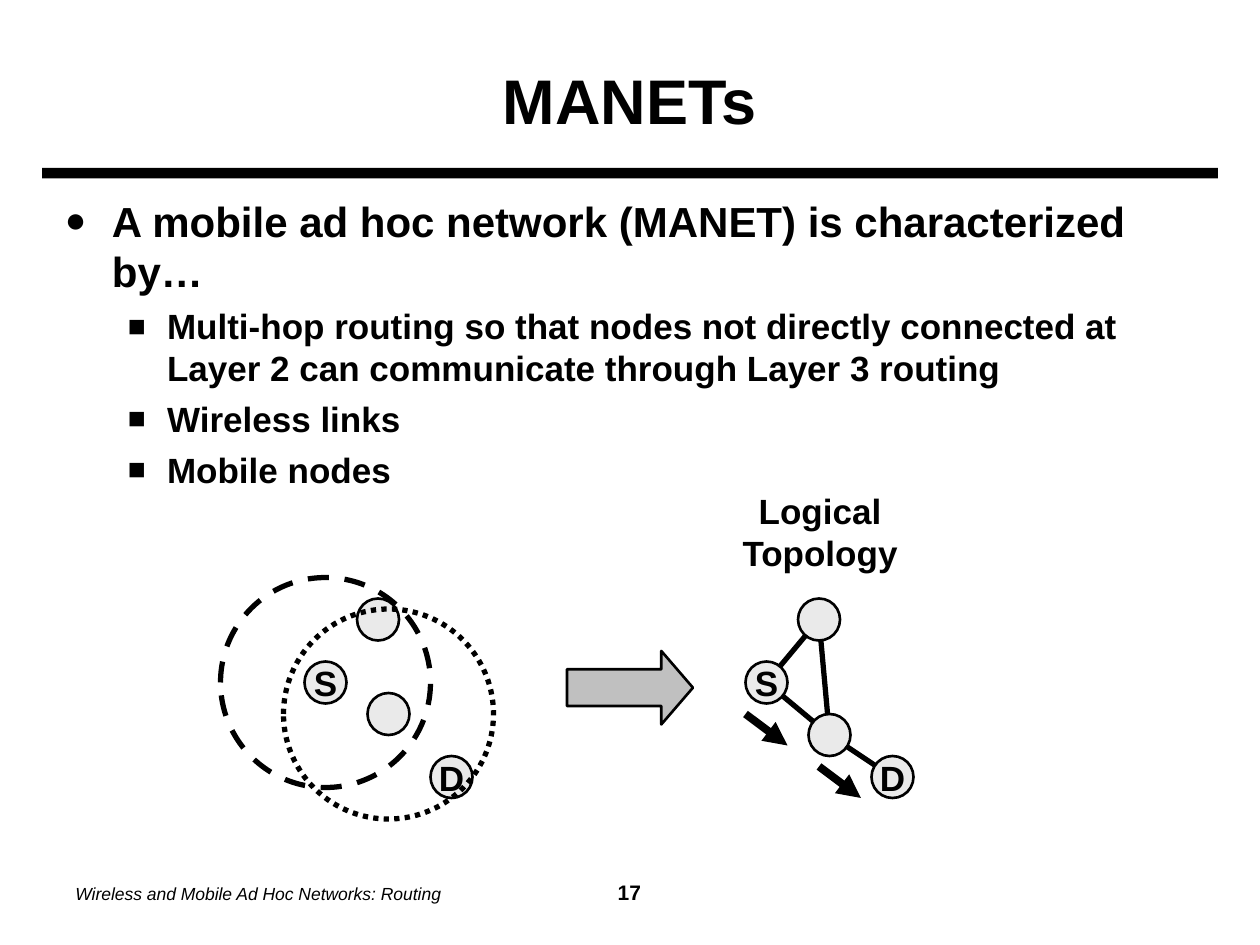
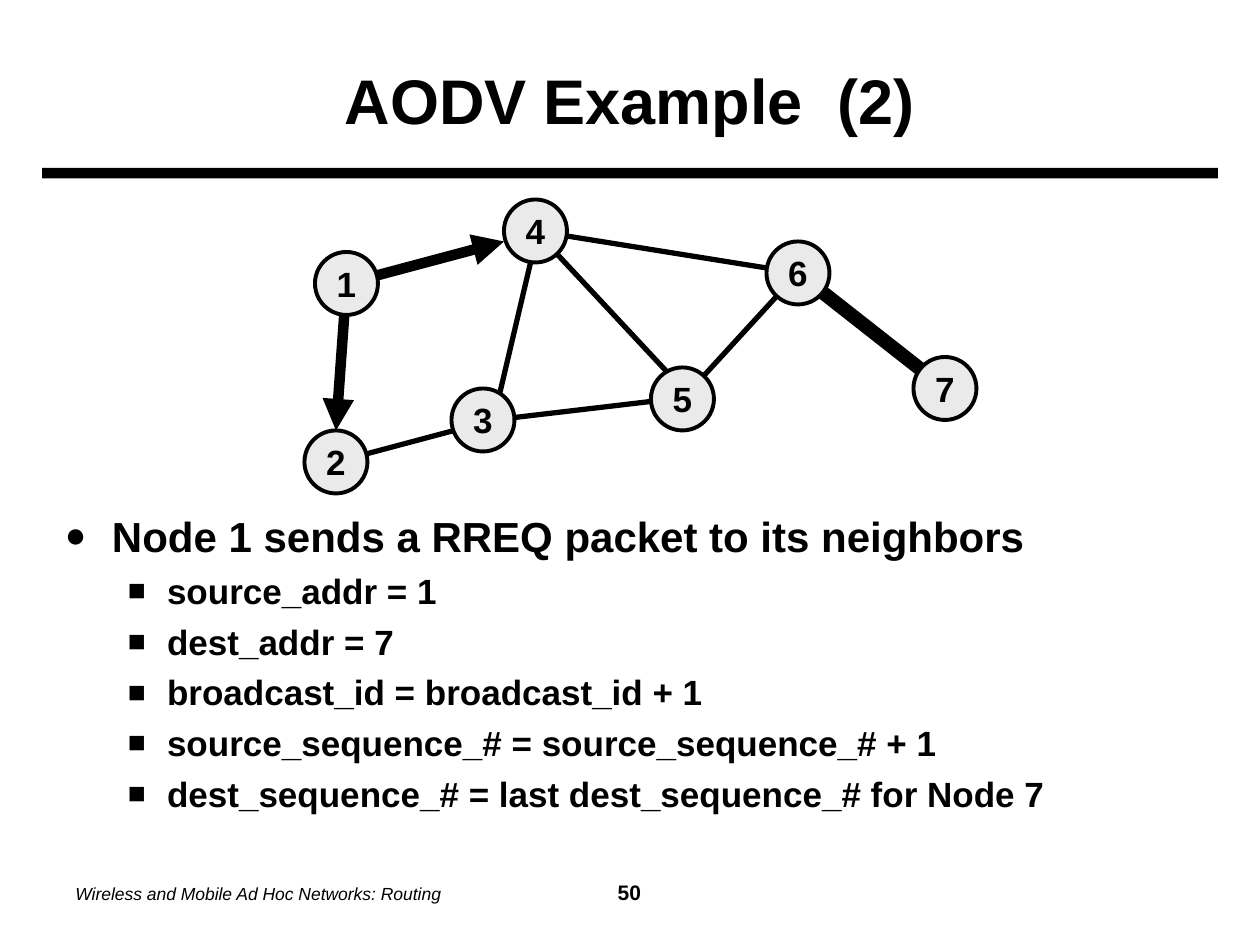
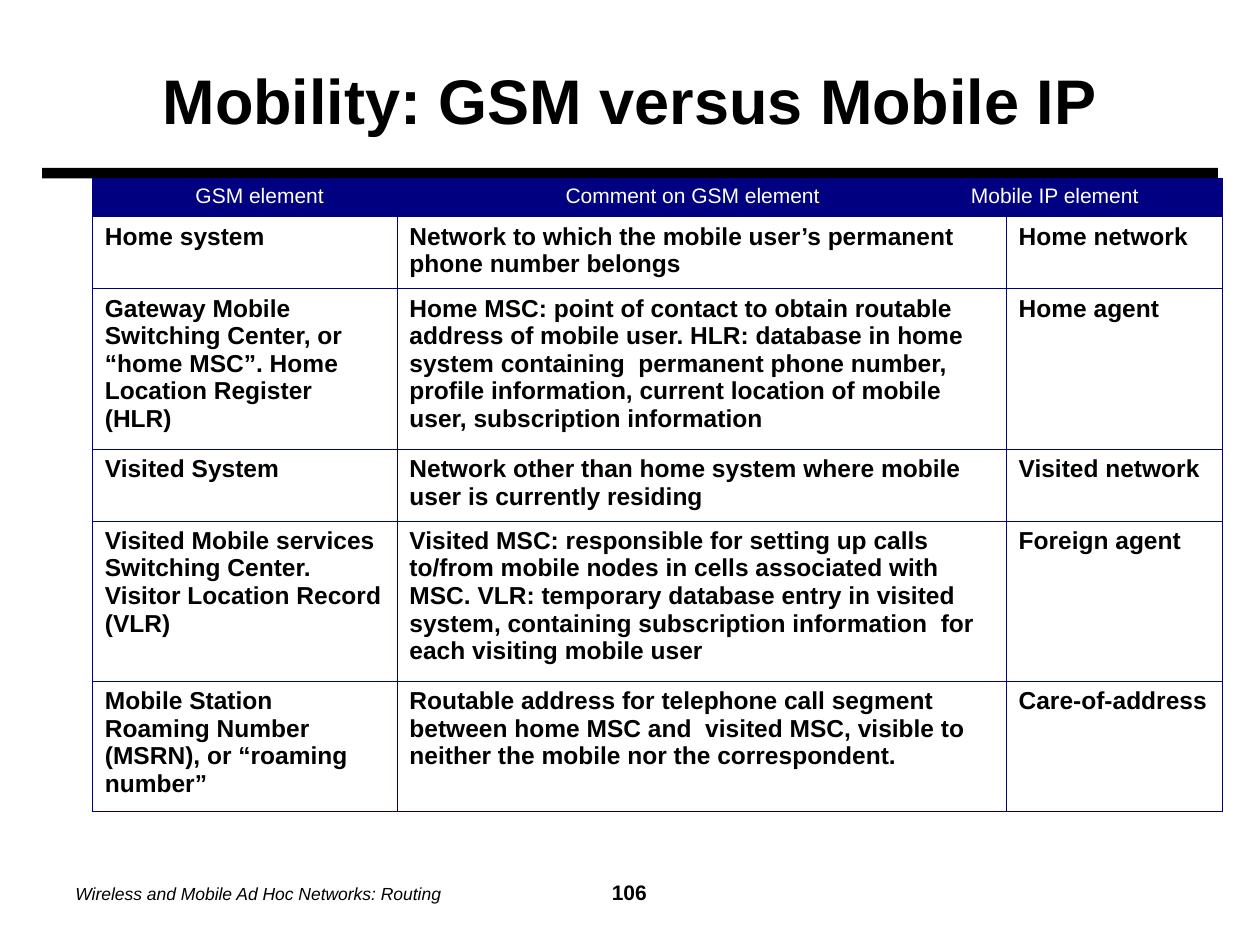
from pptx import Presentation
from pptx.dml.color import RGBColor
from pptx.enum.dml import MSO_LINE
from pptx.enum.shapes import MSO_CONNECTOR, MSO_SHAPE
from pptx.enum.text import MSO_ANCHOR, PP_ALIGN
from pptx.oxml.ns import qn
from pptx.util import Cm, Pt
from lxml.etree import SubElement, Element

FONT = "Arial"
BLACK = "000000"
WHITE = "FFFFFF"
NAVY = "000080"
PALE = "EAEAEA"
GRAY = "C0C0C0"
FOOT = "Wireless and Mobile Ad Hoc Networks: Routing"
LEVELS = [("●", 24, 6, 0.95, 0.95), ("■", 20, 5, 2.06, 0.79)]


def grid(*steps):
    return [Cm(n * 2.54 / 12) for n in steps]


def color(text):
    return RGBColor.from_string(text)


def add_run(para, text, size, bold=True, tint=BLACK, slant=False):
    run = para.add_run()
    run.text = text
    font = run.font
    font.name = FONT
    font.size = Pt(size)
    font.bold = bold
    font.italic = slant
    font.color.rgb = color(tint)


def add_box(slide, area, anchor=MSO_ANCHOR.TOP, wrap=True):
    frame = slide.shapes.add_textbox(*grid(*area)).text_frame
    frame.word_wrap = wrap
    frame.vertical_anchor = anchor
    return frame


def next_para(frame, index):
    return frame.add_paragraph() if index else frame.paragraphs[0]


def add_shape(slide, kind, area, fill=None, width=0, dash=None):
    shape = slide.shapes.add_shape(kind, *grid(*area))
    shape.shadow.inherit = False
    if fill:
        shape.fill.solid()
        shape.fill.fore_color.rgb = color(fill)
    else:
        shape.fill.background()
    if width:
        shape.line.color.rgb = color(BLACK)
        shape.line.width = Pt(width)
        if dash:
            shape.line.dash_style = dash
    else:
        shape.line.fill.background()
    return shape


def add_disc(slide, center, radius, fill=None, width=3, dash=None):
    x, y = center
    area = (x - radius, y - radius, 2 * radius, 2 * radius)
    return add_shape(slide, MSO_SHAPE.OVAL, area, fill, width, dash)


def add_node(slide, center, radius, width, label=""):
    frame = add_disc(slide, center, radius, PALE, width).text_frame
    frame.word_wrap = False
    frame.vertical_anchor = MSO_ANCHOR.MIDDLE
    if label:
        para = frame.paragraphs[0]
        para.alignment = PP_ALIGN.CENTER
        add_run(para, label, 20)


def add_link(slide, start, end, width=3, arrow=False):
    link = slide.shapes.add_connector(MSO_CONNECTOR.STRAIGHT, *grid(*start, *end))
    link.line.color.rgb = color(BLACK)
    link.line.width = Pt(width)
    if arrow:
        SubElement(link.line._get_or_add_ln(), qn("a:tailEnd"), type="triangle")
    SubElement(link._element.spPr, qn("a:effectLst"))


def add_list(slide, top, height, items):
    frame = add_box(slide, (5, top, 109, height))
    for index, (level, text) in enumerate(items):
        mark, size, gap, left, hang = LEVELS[level]
        para = next_para(frame, index)
        para.level = level
        if index:
            para.space_before = Pt(gap)
        props = para._p.get_or_add_pPr()
        props.set("marL", str(Cm(left)))
        props.set("indent", str(-Cm(hang)))
        tint = SubElement(props, qn("a:buClr"))
        SubElement(tint, qn("a:srgbClr"), val=BLACK)
        SubElement(props, qn("a:buSzPct"), val="85000")
        SubElement(props, qn("a:buFont"), typeface=FONT)
        SubElement(props, qn("a:buChar"), char=mark)
        add_run(para, text, size)


def add_slide(deck, title, number):
    slide = deck.slides.add_slide(deck.slide_layouts[6])
    add_shape(slide, MSO_SHAPE.RECTANGLE, (4, 16, 112, 1), BLACK)
    para = add_box(slide, (6, 82, 108, 6), MSO_ANCHOR.MIDDLE).paragraphs[0]
    tabs = SubElement(para._p.get_or_add_pPr(), qn("a:tabLst"))
    SubElement(tabs, qn("a:tab"), pos=str(Cm(11.11)), algn="ctr")
    add_run(para, FOOT, 10, bold=False, slant=True)
    add_run(para, f"\t {number}", 12)
    para = add_box(slide, (6, 3, 108, 13), MSO_ANCHOR.MIDDLE).paragraphs[0]
    para.alignment = PP_ALIGN.CENTER
    add_run(para, title, 36)
    return slide


def add_edges(cell):
    props = cell._tc.get_or_add_tcPr()
    for index, side in enumerate(("lnL", "lnR", "lnT", "lnB")):
        edge = Element(qn(f"a:{side}"), w=str(Pt(0.45)))
        fill = SubElement(edge, qn("a:solidFill"))
        SubElement(fill, qn("a:srgbClr"), val=NAVY)
        props.insert(index, edge)


def fill_cell(cell, text, head, align):
    for index, line in enumerate(text.split("\n")):
        para = next_para(cell.text_frame, index)
        para.alignment = align
        if head:
            add_run(para, line, 12, bold=False, tint=WHITE)
        else:
            add_run(para, line, 14)


def add_table(slide, widths, heights, rows):
    table = slide.shapes.add_table(
        len(heights), len(widths), Cm(1.86), Cm(3.6),
        Cm(sum(widths)), Cm(sum(heights))).table
    table.first_row = False
    table.horz_banding = False
    for col, width in zip(table.columns, widths):
        col.width = Cm(width)
    for row, height in zip(table.rows, heights):
        row.height = Cm(height)
    for cell in table.iter_cells():
        cell.fill.background()
        add_edges(cell)
    for r, texts in enumerate(rows):
        head = r == 0
        spans = [(0, 1), (2, 2), (3, 4)] if head else [(0, 0), (1, 3), (4, 4)]
        for (first, last), text in zip(spans, texts):
            cell = table.cell(r, first)
            if last > first:
                cell.merge(table.cell(r, last))
            if head:
                for c in range(first, last + 1):
                    part = table.cell(r, c)
                    part.fill.solid()
                    part.fill.fore_color.rgb = color(NAVY)
            middle = head and last < 4
            fill_cell(cell, text, head, PP_ALIGN.CENTER if middle else PP_ALIGN.LEFT)


def draw_manet(deck):
    slide = add_slide(deck, "MANETs", 17)
    add_list(slide, 18, 63, [
        (0, "A mobile ad hoc network (MANET) is characterized by…"),
        (1, "Multi-hop routing so that nodes not directly connected at "
            "Layer 2 can communicate through Layer 3 routing"),
        (1, "Wireless links"),
        (1, "Mobile nodes"),
    ])
    source, relay, upper, dest = (31, 65), (37, 68), (36, 59), (43, 74)
    for center, label in [(source, "S"), (relay, ""), (upper, ""), (dest, "D")]:
        add_node(slide, center, 2, 1.5, label)
    add_disc(slide, source, 10, dash=MSO_LINE.DASH)
    add_disc(slide, relay, 10, dash=MSO_LINE.ROUND_DOT)

    source, relay, upper, dest = (73, 65), (79, 70), (78, 59), (85, 74)
    for start, end in [(upper, relay), (source, relay), (relay, dest), (upper, source)]:
        add_link(slide, start, end)
    for center, label in [(source, "S"), (relay, ""), (upper, ""), (dest, "D")]:
        add_node(slide, center, 2, 1.5, label)
    arrow = add_shape(slide, MSO_SHAPE.RIGHT_ARROW, (54, 62, 12, 7), GRAY, 1.5)
    arrow.adjustments[1] = 0.43
    frame = add_box(slide, (69.4, 46, 17.4, 9.2), wrap=False)
    for index, word in enumerate(("Logical", "Topology")):
        para = next_para(frame, index)
        para.alignment = PP_ALIGN.CENTER
        add_run(para, word, 20)
    for start, end in [((71, 68), (75, 71)), ((78, 73), (82, 76))]:
        add_link(slide, start, end, 4.5, arrow=True)


def draw_aodv(deck):
    slide = add_slide(deck, "AODV Example  (2)", 50)
    add_list(slide, 48, 33, [
        (0, "Node 1 sends a RREQ packet to its neighbors"),
        (1, "source_addr = 1"),
        (1, "dest_addr = 7"),
        (1, "broadcast_id = broadcast_id + 1"),
        (1, "source_sequence_# = source_sequence_# + 1"),
        (1, "dest_sequence_# = last dest_sequence_# for Node 7"),
    ])
    nodes = {1: (33, 27), 2: (32, 44), 3: (46, 40), 4: (51, 22),
             5: (65, 38), 6: (76, 26), 7: (90, 37)}
    for end in [(32, 41), (48, 23)]:
        add_link(slide, nodes[1], end, 6, arrow=True)
    joint = (47, 40)
    for start, end in [(nodes[4], (65, 37)), (nodes[2], joint), ((51, 23), joint),
                       (joint, (64, 38)), (nodes[4], nodes[6]), (nodes[6], nodes[5])]:
        add_link(slide, start, end)
    add_link(slide, nodes[6], nodes[7], 8)
    for label, center in nodes.items():
        add_node(slide, center, 3, 2.25, str(label))


def draw_table(deck):
    slide = add_slide(deck, "Mobility: GSM versus Mobile IP", 106)
    widths = [6.14, 0.61, 10.71, 0.96, 4.37]
    heights = [0.77, 1.45, 3.23, 1.45, 3.23, 2.03]
    add_table(slide, widths, heights, [
        ("GSM element", "Comment on GSM element", "Mobile IP element"),
        ("Home system",
         "Network to which the mobile user’s permanent phone number belongs",
         "Home network"),
        ("Gateway Mobile Switching Center, or “home MSC”. "
         "Home Location Register (HLR)",
         "Home MSC: point of contact to obtain routable address of mobile user. "
         "HLR: database in home system containing  permanent phone number, "
         "profile information, current location of mobile user, "
         "subscription information",
         "Home agent"),
        ("Visited System",
         "Network other than home system where mobile user is currently residing",
         "Visited network"),
        ("Visited Mobile services Switching Center.\n"
         "Visitor Location Record (VLR)",
         "Visited MSC: responsible for setting up calls to/from mobile nodes "
         "in cells associated with MSC. VLR: temporary database entry in visited "
         "system, containing subscription information  for each visiting mobile user",
         "Foreign agent"),
        ("Mobile Station Roaming Number (MSRN), or “roaming number”",
         "Routable address for telephone call segment between home MSC and  "
         "visited MSC, visible to neither the mobile nor the correspondent.",
         "Care-of-address"),
    ])


def main():
    deck = Presentation()
    deck.slide_width, deck.slide_height = grid(120, 90)
    draw_manet(deck)
    draw_aodv(deck)
    draw_table(deck)
    deck.save("out.pptx")


if __name__ == "__main__":
    main()
